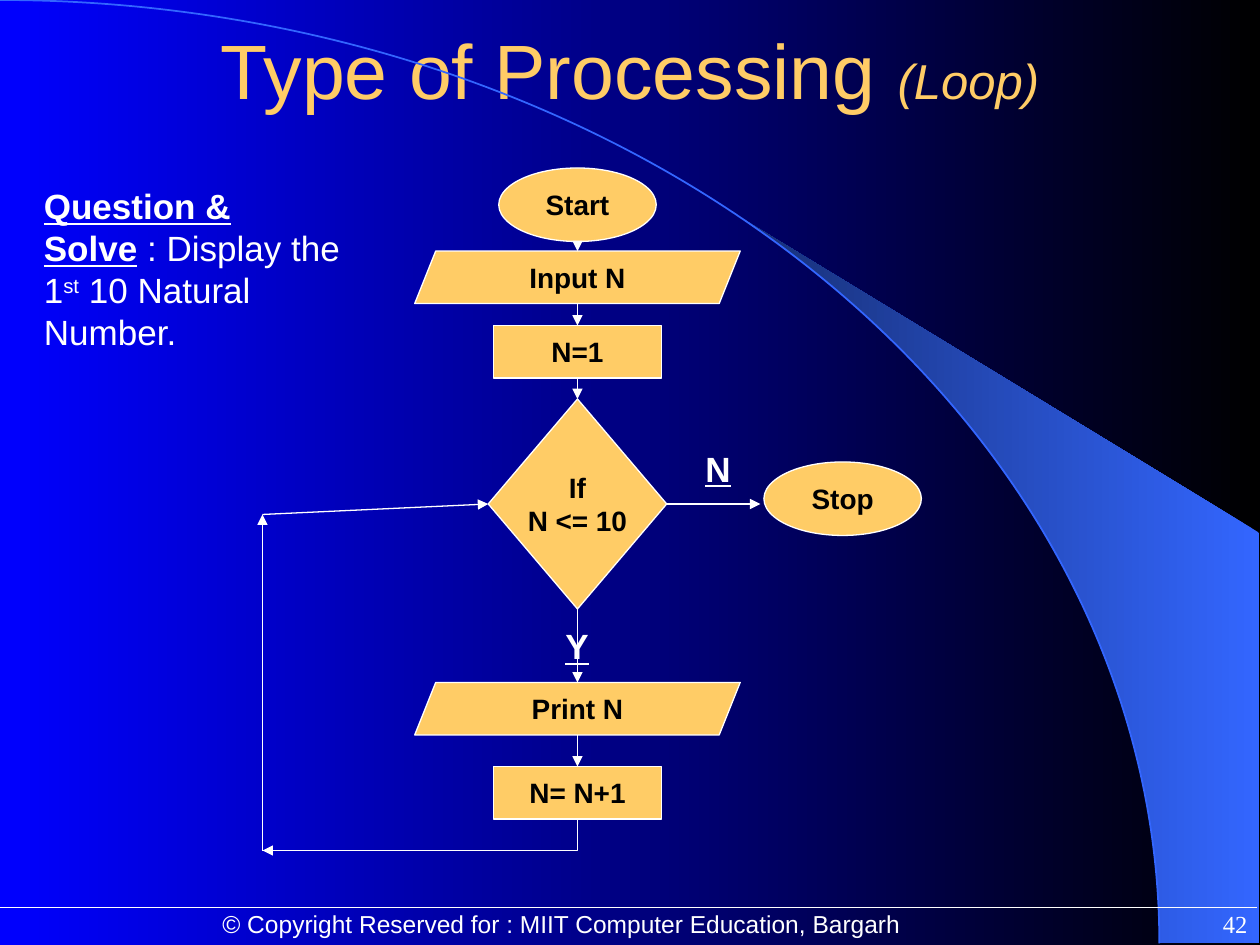
from collections import namedtuple
from dataclasses import dataclass
from math import asin, cos, pi, sin

from lxml.etree import SubElement
from pptx import Presentation
from pptx.dml.color import RGBColor
from pptx.enum.shapes import MSO_CONNECTOR as Link, MSO_SHAPE as Form
from pptx.enum.text import MSO_ANCHOR as Anchor, MSO_AUTO_SIZE as AutoSize, PP_ALIGN as Align
from pptx.oxml.ns import qn
from pptx.util import Pt

Box = namedtuple("Box", "left top width height")


@dataclass(frozen=True)
class Theme:
    white: RGBColor = RGBColor(0xFF, 0xFF, 0xFF)
    black: RGBColor = RGBColor(0, 0, 0)
    blue: RGBColor = RGBColor(0, 0, 0xFF)
    gold: RGBColor = RGBColor(0xFF, 0xCC, 0x66)
    sweep: RGBColor = RGBColor(0x33, 0x66, 0xFF)
    sweep_dark: RGBColor = RGBColor(0x17, 0x2F, 0x75)
    font: str = "Arial"
    number_font: str = "Times New Roman"
    title: int = 44
    subtitle: int = 28
    body: int = 20
    step: int = 16
    footer: int = 14
    hairline: float = 0.75


THEME = Theme()


def points(*lengths):
    return [Pt(length) for length in lengths]


def add_run(paragraph, text, size, color=THEME.white, font=THEME.font,
            bold=False, italic=False, underline=False, raised=False):
    run = paragraph.add_run()
    run.text = text
    run.font.size = Pt(size)
    run.font.name = font
    run.font.color.rgb = color
    run.font.bold = bold
    run.font.italic = italic
    run.font.underline = underline
    if raised:
        run._r.get_or_add_rPr().set("baseline", "30000")


def add_text(slide, box, wrap=True, align=Align.LEFT, anchor=Anchor.TOP, grow=False):
    """Add an empty text box and return its first paragraph."""
    frame = slide.shapes.add_textbox(*points(*box)).text_frame
    frame.word_wrap = wrap
    frame.vertical_anchor = anchor
    frame.auto_size = AutoSize.SHAPE_TO_FIT_TEXT if grow else AutoSize.NONE
    frame.paragraphs[0].alignment = align
    return frame.paragraphs[0]


def fade(fill, right, left):
    """Fill with a gradient that runs from right to left."""
    fill.gradient()
    fill.gradient_angle = 180
    for stop, color in zip(fill.gradient_stops, (right, left)):
        stop.color.rgb = color


def add_line(slide, start, end, kind=Link.STRAIGHT, arrow=True):
    connector = slide.shapes.add_connector(kind, *points(*start, *end))
    connector.line.color.rgb = THEME.white
    connector.line.width = Pt(THEME.hairline)
    if arrow:
        SubElement(connector.line._get_or_add_ln(), qn("a:tailEnd"), type="triangle")
    SubElement(connector._element.spPr, qn("a:effectLst"))
    return connector


def add_corner_arrow(slide, start, end):
    """Arrow that runs down from start, then left to end."""
    width, height = start[0] - end[0], end[1] - start[1]
    middle_x, middle_y = (start[0] + end[0]) / 2, (start[1] + end[1]) / 2
    # A quarter turn swaps the width and height of the connector.
    corner = add_line(slide, (middle_x - height / 2, middle_y - width / 2),
                      (middle_x + height / 2, middle_y + width / 2), Link.ELBOW)
    properties = corner._element.spPr
    properties.find(qn("a:prstGeom")).set("prst", "bentConnector2")
    properties.find(qn("a:xfrm")).set("rot", str(90 * 60000))


def draw_backdrop(slide, box):
    fade(slide.background.fill, THEME.black, THEME.blue)
    radius_x, radius_y = 662.5, 539
    right, beam_bottom, beam_left, segments = box.left + 719.5, 304.5, 424, 24

    first_angle = asin(beam_left / radius_x)
    angles = [first_angle + (pi / 2 - first_angle) * i / segments for i in range(segments + 1)]
    edge = [points(box.left + radius_x * sin(a), box.top + radius_y * (1 - cos(a)))
            for a in angles]
    corners = [points(right, box.top + radius_y), points(right, box.top + beam_bottom)]
    builder = slide.shapes.build_freeform(*edge[0])
    builder.add_line_segments(edge[1:] + corners, close=True)
    beam = builder.convert_to_shape()
    beam.shadow.inherit = False
    beam.line.fill.background()
    fade(beam.fill, THEME.sweep, THEME.sweep_dark)

    arc = slide.shapes.add_shape(
        Form.ARC, *points(box.left - radius_x, box.top, 2 * radius_x, 2 * radius_y))
    arc.shadow.inherit = False
    arc.fill.background()
    arc.line.color.rgb = THEME.sweep
    arc.line.width = Pt(1)


def write_title(slide, box):
    title = slide.shapes.title
    title.left, title.top, title.width, title.height = points(*box)
    frame = title.text_frame
    frame.auto_size = AutoSize.NONE
    frame.word_wrap = True
    frame.vertical_anchor = Anchor.MIDDLE
    heading = frame.paragraphs[0]
    heading.alignment = Align.CENTER
    add_run(heading, "Type of Processing ", THEME.title, THEME.gold)
    add_run(heading, "(Loop)", THEME.subtitle, THEME.gold, italic=True)


def write_question(slide, box):
    question = add_text(slide, box, grow=True)
    add_run(question, "Question & Solve", THEME.body, bold=True, underline=True)
    add_run(question, " : Display the 1", THEME.body)
    add_run(question, "st", THEME.body, raised=True)
    add_run(question, " 10 Natural Number.", THEME.body)


def add_step(slide, form, box, lines):
    step = slide.shapes.add_shape(form, *points(*box))
    step.shadow.inherit = False
    step.fill.solid()
    step.fill.fore_color.rgb = THEME.gold
    step.line.color.rgb = THEME.white
    step.line.width = Pt(THEME.hairline)
    if form == Form.PARALLELOGRAM:
        step.adjustments[0] = 0.4
    frame = step.text_frame
    frame.word_wrap = False
    frame.vertical_anchor = Anchor.MIDDLE
    for i, line in enumerate(lines):
        paragraph = frame.add_paragraph() if i else frame.paragraphs[0]
        paragraph.alignment = Align.CENTER
        add_run(paragraph, line, THEME.step, THEME.black, bold=True)


def draw_flowchart(slide, box):
    axis = box.left + 180
    sizes = {Form.OVAL: (90, 42), Form.PARALLELOGRAM: (186, 30),
             Form.RECTANGLE: (96, 30), Form.FLOWCHART_DECISION: (102, 120)}
    steps = [(Form.OVAL, 0, ["Start"]), (Form.PARALLELOGRAM, 47.5, ["Input N"]),
             (Form.RECTANGLE, 90, ["N=1"]),
             (Form.FLOWCHART_DECISION, 132, ["If", "N <= 10"]),
             (Form.PARALLELOGRAM, 294, ["Print N"]), (Form.RECTANGLE, 342, ["N= N+1"])]

    previous_bottom = None
    for form, offset, lines in steps:
        width, height = sizes[form]
        top = box.top + offset
        add_step(slide, form, Box(axis - width / 2, top, width, height), lines)
        if previous_bottom is not None:
            add_line(slide, (axis, previous_bottom), (axis, top))
        previous_bottom = top + height

    decision_width, decision_height = sizes[Form.FLOWCHART_DECISION]
    decision_y = box.top + 132 + decision_height / 2
    stop_left = box.left + 286.5
    add_step(slide, Form.OVAL, Box(stop_left, box.top + 168, *sizes[Form.OVAL]), ["Stop"])
    add_line(slide, (axis + decision_width / 2, decision_y), (stop_left - 2, decision_y))

    bottom = box.top + box.height
    loop_top = (box.left, decision_y + 6)
    add_corner_arrow(slide, (axis, previous_bottom), (box.left, bottom))
    add_line(slide, (box.left, bottom), loop_top)
    add_line(slide, loop_top, (axis - decision_width / 2, decision_y))

    for answer, left, top in (("Y", 166, 257.5), ("N", 246, 156)):
        label = add_text(slide, Box(box.left + left, box.top + top, 28, 31.5),
                         wrap=False, grow=True)
        add_run(label, answer, THEME.body, bold=True, underline=True)


def draw_footer(slide, box):
    add_line(slide, (box.left - 1.5, box.top + 2.5), (box.left + 718.5, box.top + 2.5),
             arrow=False)
    notice = add_text(slide, Box(box.left + 102, box.top, 438, box.height),
                      align=Align.CENTER, anchor=Anchor.MIDDLE)
    add_run(notice, "© Copyright Reserved for : MIIT Computer Education, Bargarh", THEME.footer)
    number = add_text(slide, Box(box.left + 570, box.top, 150, box.height),
                      align=Align.RIGHT, anchor=Anchor.MIDDLE)
    add_run(number, "42", THEME.footer, font=THEME.number_font)


def main():
    deck = Presentation()
    deck.slide_width, deck.slide_height = points(720, 540)
    slide = deck.slides.add_slide(deck.slide_layouts.get_by_name("Title Only"))
    draw_backdrop(slide, Box(0, 0, 720, 540))
    write_title(slide, Box(54, 12, 612, 54))
    draw_flowchart(slide, Box(150, 96, 376.5, 390))
    write_question(slide, Box(18, 102, 186, 104))
    draw_footer(slide, Box(0, 516, 720, 24))
    deck.save("out.pptx")


if __name__ == "__main__":
    main()
